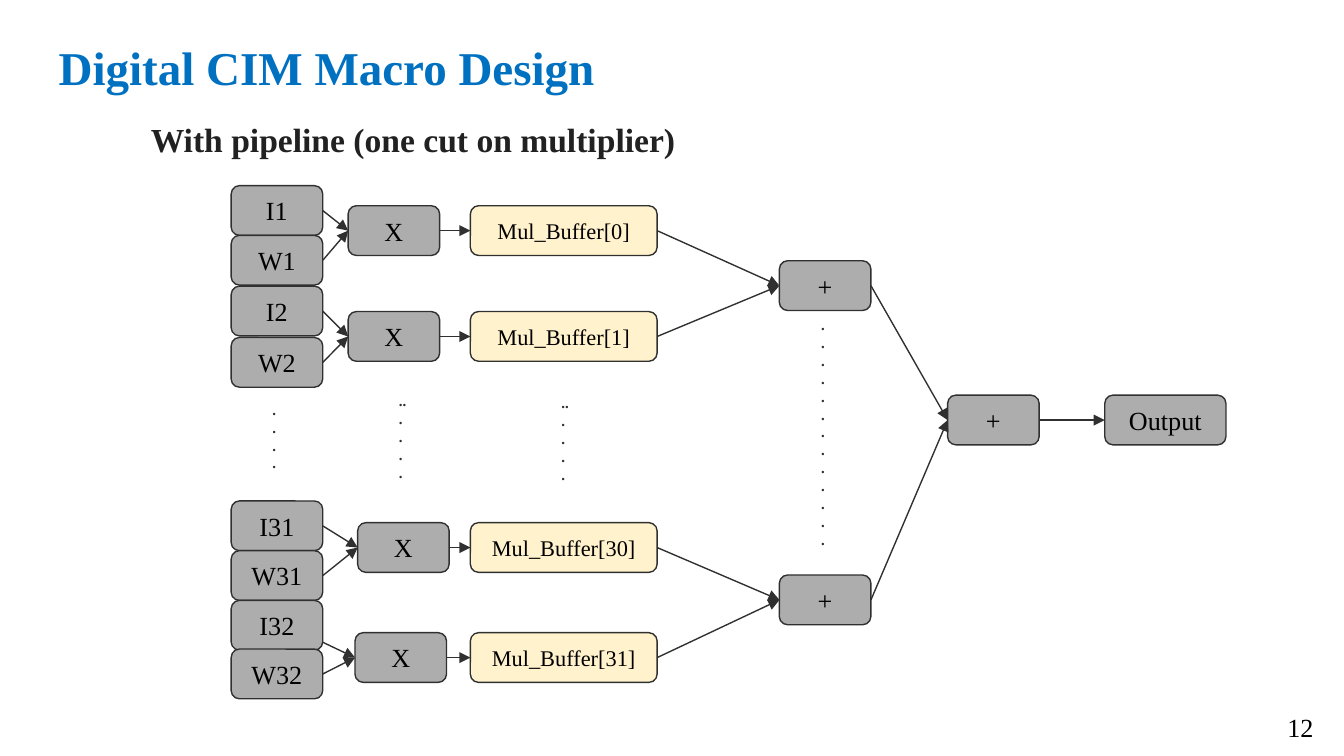
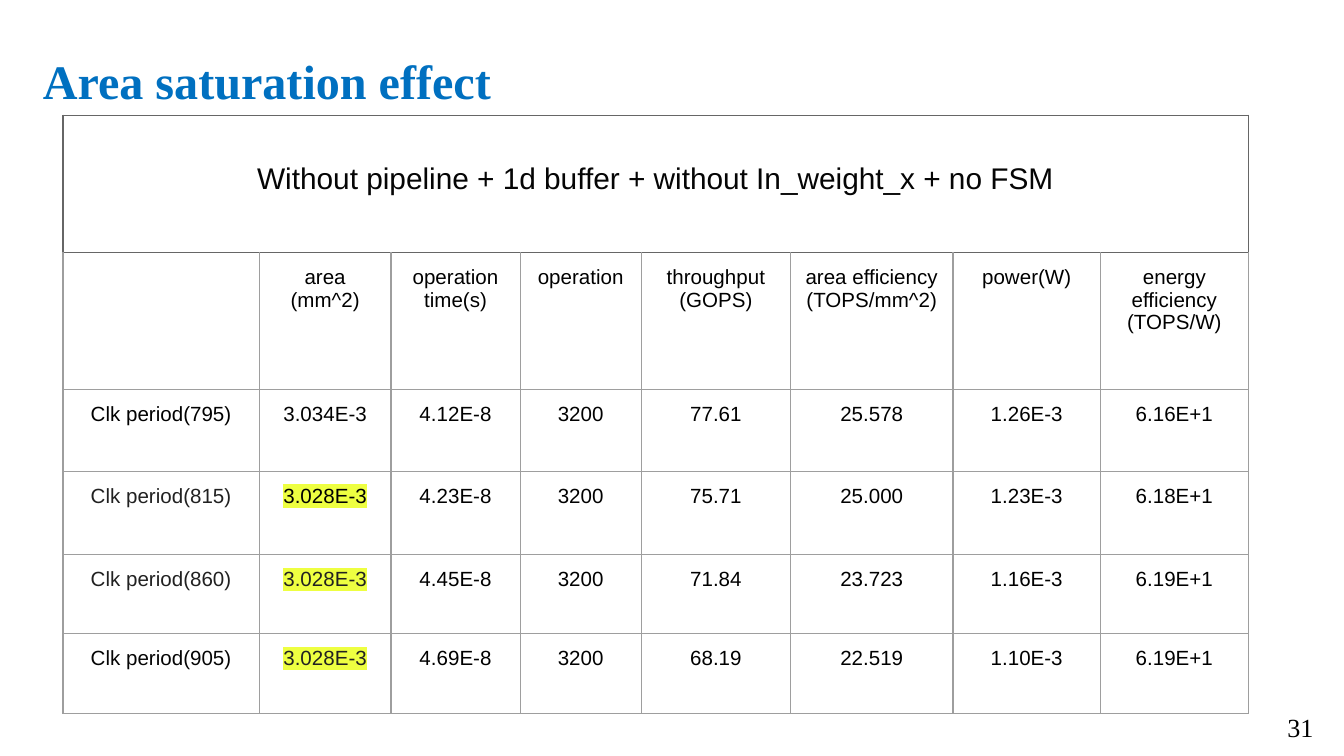
from lxml.etree import SubElement as Sub, Element
from pptx import Presentation
from pptx.dml.color import RGBColor
from pptx.enum.shapes import MSO_CONNECTOR as Wire, MSO_SHAPE as Kind
from pptx.enum.text import MSO_ANCHOR as Anchor, PP_ALIGN as Align
from pptx.oxml.ns import qn
from pptx.util import Cm, Pt

# Shared look
HUES = {
    "title": "0070C0", "body": "212121", "ink": "000000", "soft": "050505",
    "line": "303030", "node": "ADADAD", "store": "FFF2CC",
    "grid": "9E9E9E", "edge": "666666", "mark": "EEFF41",
}
SERIF, SANS = "Times New Roman", "Arial"
PAD = 0.25
LEFT, RIGHT = 1, 3  # connection sites of a box

# Pipeline content, lengths in cm
NODE_W, NODE_H = 1.73, 0.94
IN_X, BUF_X, BUF_W, SUM_X = 4.37, 8.89, 3.53, 14.73
LANES = [  # number, input top, weight top, multiplier left and top, start drop
    (1, 3.51, 4.45, 6.58, 3.89, 0),
    (2, 5.41, 6.38, 6.58, 5.89, 0),
    (31, 9.47, 10.41, 6.76, 9.88, 0),
    (32, 11.35, 12.27, 6.71, 11.96, 0.32),
]
SUM_TOPS = [4.93, 10.87]
TOTAL = (17.91, 7.47)
OUT = (20.88, 7.47, 2.29)
DOTS = [  # left, top, height, dots in each row
    (4.9, 7.32, 1.88, [1] * 4),
    (7.29, 7.16, 2.16, [3, 1, 1, 1]),
    (10.36, 7.19, 2.34, [3, 1, 1, 1]),
    (15.27, 5.72, 5.03, [1] * 13),
]

# Table content
BANNER = "Without pipeline + 1d buffer + without In_weight_x + no FSM"
HEADS = ["", "area\n(mm^2)", "operation time(s)", "operation",
         "throughput\n(GOPS)", "area efficiency\n(TOPS/mm^2)", "power(W)",
         "energy efficiency\n(TOPS/W)"]
ROWS = [
    ["Clk period(795)", "3.034E-3", "4.12E-8", "3200", "77.61", "25.578",
     "1.26E-3", "6.16E+1"],
    ["Clk period(815)", "3.028E-3", "4.23E-8", "3200", "75.71", "25.000",
     "1.23E-3", "6.18E+1"],
    ["Clk period(860)", "3.028E-3", "4.45E-8", "3200", "71.84", "23.723",
     "1.16E-3", "6.19E+1"],
    ["Clk period(905)", "3.028E-3", "4.69E-8", "3200", "68.19", "22.519",
     "1.10E-3", "6.19E+1"],
]
TINTS = {(3, 0): "body", (4, 0): "body", (5, 0): "soft",
         (4, 1): "body", (5, 1): "body"}
MARKED = {(3, 1), (4, 1), (5, 1)}
COLS = [3.71, 2.49, 2.44, 2.29, 2.82, 3.07, 2.79, 2.79]
HIGHS = [2.59, 2.59, 1.55, 1.57, 1.5, 1.5]


def rgb(name):
    return RGBColor.from_string(HUES[name])


def write(frame, text, size=14, font=SERIF, hue="ink", bold=False,
          align=None, space=None, after=None, mark=None):
    for i, part in enumerate(text.split("\n")):
        para = frame.add_paragraph() if i else frame.paragraphs[0]
        para.alignment = align
        if space:
            para.line_spacing = space
        if after:
            para.space_after = Pt(after)
        run = para.add_run()
        run.text = part
        run.font.size, run.font.name, run.font.bold = Pt(size), font, bold
        run.font.color.rgb = rgb(hue)
        if mark:
            light = Element(qn("a:highlight"))
            Sub(light, qn("a:srgbClr"), val=HUES[mark])
            run._r.find(qn("a:rPr")).find(qn("a:solidFill")).addnext(light)


def inset(item, left=PAD, top=PAD, right=PAD, base=PAD):
    item.margin_left, item.margin_top = Cm(left), Cm(top)
    item.margin_right, item.margin_bottom = Cm(right), Cm(base)


def label(slide, text, x, y, w, h, left=PAD, top=PAD, base=PAD, **fmt):
    frame = slide.shapes.add_textbox(Cm(x), Cm(y), Cm(w), Cm(h)).text_frame
    frame.word_wrap = True
    inset(frame, left, top, base=base)
    write(frame, text, **fmt)


def start(deck, title, page, x, y, **fmt):
    slide = deck.slides.add_slide(deck.slide_layouts[6])
    label(slide, title, x, y, 23.67, 1.6, top=0.35, hue="title", bold=True, **fmt)
    label(slide, str(page), 24.08, 13.31, 1.6, 0.86, top=0.13, base=0.13)
    return slide


def node(slide, text, x, y, w=NODE_W, fill="node", size=14):
    box = slide.shapes.add_shape(Kind.ROUNDED_RECTANGLE,
                                 Cm(x), Cm(y), Cm(w), Cm(NODE_H))
    box.shadow.inherit = False
    box.fill.solid()
    box.fill.fore_color.rgb = rgb(fill)
    box.line.color.rgb = rgb("line")
    box.line.width = Pt(0.75)
    frame = box.text_frame
    frame.word_wrap = True
    frame.vertical_anchor = Anchor.MIDDLE
    inset(frame)
    write(frame, text, size=size, align=Align.CENTER)
    return box


def join(slide, a, b, drop=0):
    wire = slide.shapes.add_connector(
        Wire.STRAIGHT, a.left + a.width, a.top + a.height // 2 + Cm(drop),
        b.left, b.top + b.height // 2)
    if not drop:
        wire.begin_connect(a, RIGHT)
    wire.end_connect(b, LEFT)
    wire.line.color.rgb = rgb("line")
    wire.line.width = Pt(0.75)
    props = wire.element.spPr
    Sub(props.find(qn("a:ln")), qn("a:tailEnd"), type="triangle")
    Sub(props, qn("a:effectLst"))


def border(cell, **sides):
    props = cell._tc.get_or_add_tcPr()
    for i, side in enumerate("LRTB"):
        line = Element(qn("a:ln" + side), w=str(Pt(0.75)))
        fill = Sub(line, qn("a:solidFill"))
        Sub(fill, qn("a:srgbClr"), val=HUES[sides.get(side, "grid")])
        props.insert(i, line)


def pipeline(deck):
    slide = start(deck, "Digital CIM Macro Design", 12, 0.86, 0.38, size=25.2)
    label(slide, "With pipeline (one cut on multiplier)", 1.96, 1.88, 23.67, 1.47,
          left=0.89, size=18, hue="body", bold=True, space=1.15, after=12)

    # Adder tree
    total = node(slide, "+", *TOTAL)
    sums = [node(slide, "+", SUM_X, y) for y in SUM_TOPS]
    for part in sums:
        join(slide, part, total)
    join(slide, total, node(slide, "Output", *OUT))

    # Inputs, multipliers and buffers
    for i, (num, in_y, wt_y, x, y, drop) in enumerate(LANES):
        times = node(slide, "X", x, y)
        join(slide, node(slide, f"I{num}", IN_X, in_y), times, drop)
        join(slide, node(slide, f"W{num}", IN_X, wt_y), times)
        store = node(slide, f"Mul_Buffer[{num - 1}]", BUF_X, y, BUF_W, "store", 12)
        join(slide, times, store)
        join(slide, store, sums[i // 2])

    # Dotted gaps
    for x, y, h, counts in DOTS:
        label(slide, "\n".join("." * n for n in counts), x, y, 0.66, h,
              size=8, hue="line", bold=True)


def results(deck):
    slide = start(deck, "Area saturation effect", 31, 0.56, 0.3,
                  size=25.8, space=1.29)
    grid = [[BANNER] + [""] * (len(COLS) - 1), HEADS] + ROWS
    table = slide.shapes.add_table(len(grid), len(COLS), Cm(1.19), Cm(2.18),
                                   Cm(sum(COLS)), Cm(sum(HIGHS))).table
    table.first_row = table.horz_banding = False
    for col, width in zip(table.columns, COLS):
        col.width = Cm(width)
    for row, high in zip(table.rows, HIGHS):
        row.height = Cm(high)
    table.cell(0, 0).merge(table.cell(0, len(COLS) - 1))

    # Cells
    for r, texts in enumerate(grid):
        for c, text in enumerate(texts):
            cell = table.cell(r, c)
            cell.fill.background()
            inset(cell, top=PAD if r else 0.9)
            if r == 0:
                border(cell, **dict.fromkeys("LRTB", "edge"))
            else:
                border(cell, T="edge" if r == 1 else "grid")
            if text:
                write(cell.text_frame, text, size=11 if r else 16, font=SANS,
                      hue=TINTS.get((r, c), "ink" if r else "soft"),
                      align=Align.CENTER,
                      mark="mark" if (r, c) in MARKED else None)


def main():
    deck = Presentation()
    deck.slide_width, deck.slide_height = Cm(25.4), Cm(14.29)
    pipeline(deck)
    results(deck)
    deck.save("out.pptx")


if __name__ == "__main__":
    main()
